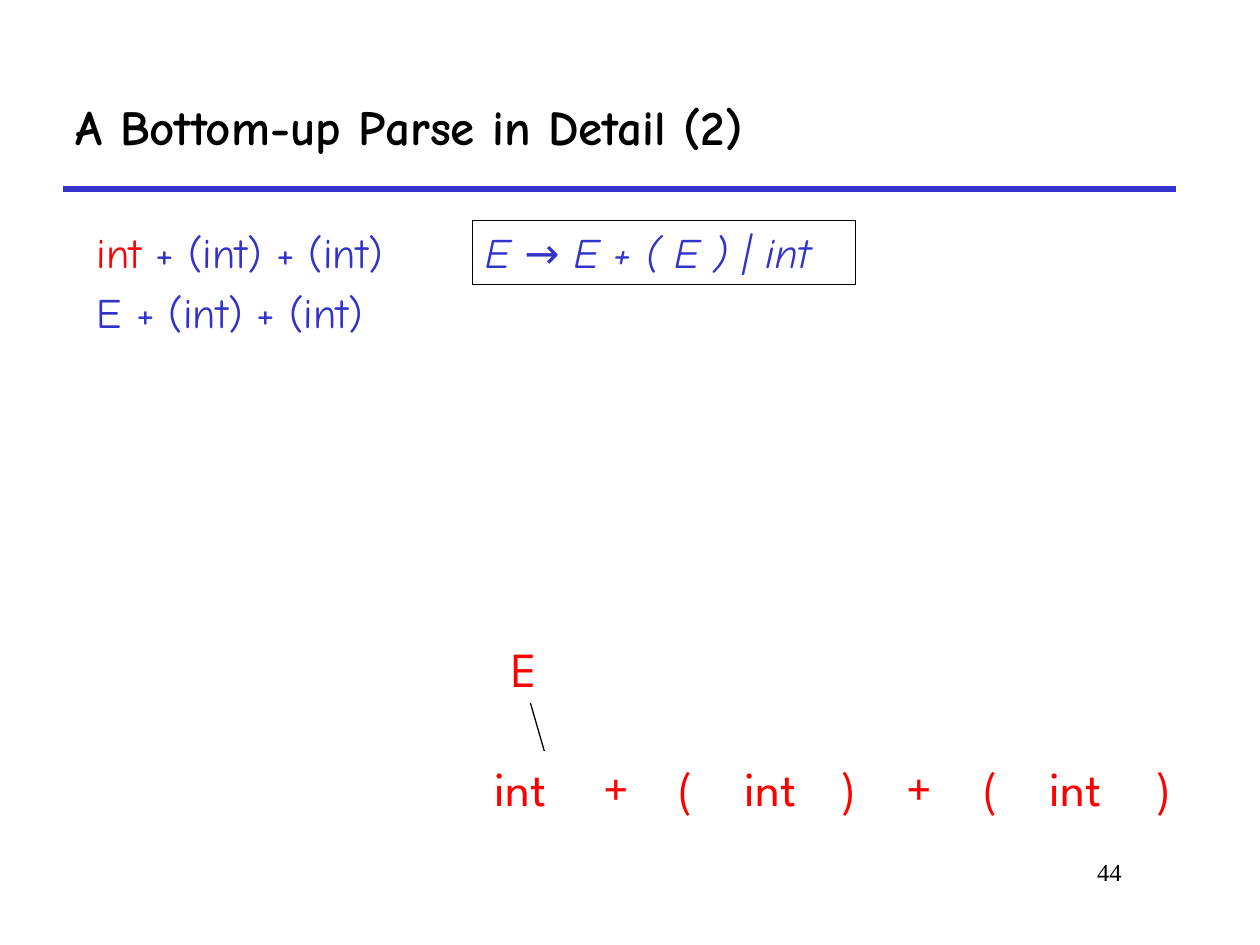
import pptx
import pptx.dml.color
import pptx.enum.shapes
import pptx.enum.text
import pptx.oxml.ns
import pptx.util
from pptx.util import Inches

BLACK, BLUE, RED = "000000", "3333CC", "FF0000"
ALIGN = pptx.enum.text.PP_ALIGN
ANCHOR = pptx.enum.text.MSO_ANCHOR
TITLE_FORMAT = {"name": "Comic Neue", "size": pptx.util.Pt(28), "bold": True}
STEP_FORMAT = {"name": "Comic Neue", "size": pptx.util.Pt(24)}
GRAMMAR_FORMAT = {**STEP_FORMAT, "italic": True}
TREE_FORMAT = {"name": "League Spartan", "size": pptx.util.Pt(28)}
NUMBER_FORMAT = {"name": "Times New Roman", "size": pptx.util.Pt(14)}


def color(hex_string):
    return pptx.dml.color.RGBColor.from_string(hex_string)


def write(shape, lines, text_format, align=ALIGN.LEFT, anchor=ANCHOR.TOP,
          wrap=True, gap=0):
    """Fill a shape with lines, each a list of (text, colour) runs."""
    frame = shape.text_frame
    frame.word_wrap = wrap
    frame.vertical_anchor = anchor
    for index, runs in enumerate(lines):
        paragraph = frame.add_paragraph() if index else frame.paragraphs[0]
        paragraph.alignment = align
        if index:
            paragraph.space_before = pptx.util.Pt(gap)
        for text, hex_string in runs:
            run = paragraph.add_run()
            run.text = text
            run.font.color.rgb = color(hex_string)
            for name, value in text_format.items():
                setattr(run.font, name, value)


def add_text(slide, box, lines, text_format, **options):
    shape = slide.shapes.add_textbox(*map(Inches, box))
    write(shape, lines, text_format, **options)


def add_line(slide, start, end, hex_string, width):
    line = slide.shapes.add_connector(
        pptx.enum.shapes.MSO_CONNECTOR.STRAIGHT,
        *map(Inches, (*start, *end)))
    line.line.color.rgb = color(hex_string)
    line.line.width = pptx.util.Pt(width)
    properties = line._element.spPr
    properties.append(pptx.oxml.xmlchemy.OxmlElement("a:effectLst"))


def add_heading(slide, box, text):
    left, top, width, height = box
    title = slide.shapes.title
    for name, value in zip(("left", "top", "width", "height"), box):
        setattr(title, name, Inches(value))
    write(title, [[(text, BLACK)]], TITLE_FORMAT, anchor=ANCHOR.MIDDLE)
    # Rule under the title
    bottom = top + height
    add_line(slide, (left, bottom), (left + width, bottom), BLUE, 3)


def add_grammar(slide, box, rule):
    shape = slide.shapes.add_shape(
        pptx.enum.shapes.MSO_SHAPE.RECTANGLE, *map(Inches, box))
    shape.shadow.inherit = False
    shape.fill.background()
    shape.line.color.rgb = color(BLACK)
    shape.line.width = pptx.util.Pt(0.75)
    write(shape, [[(rule, BLUE)]], GRAMMAR_FORMAT, wrap=False)


def add_parse_tree(slide, box):
    left, top, width, height = box
    row_height = 0.57
    leaf_top = top + height - row_height
    # Input tokens: text, offset from the left of the tree, width
    tokens = [("int", 0, 0.96), ("+", 0.86, 0.5), ("(", 1.46, 0.42),
              ("int", 1.98, 1.04), (")", 2.75, 0.25), ("+", 3.27, 0.5),
              ("(", 3.88, 0.42), ("int", 4.4, 1.14), (")", 5.25, 0.33)]
    for text, offset, token_width in tokens:
        add_text(slide, (left + offset, leaf_top, token_width, row_height),
                 [[(text, RED)]], TREE_FORMAT)
    # Reduced node and its branch
    add_text(slide, (left + 0.13, top, 0.5, row_height), [[("E", RED)]],
             TREE_FORMAT)
    add_line(slide, (left + 0.38, top + 0.56), (left + 0.49, leaf_top),
             BLACK, 0.75)


def main():
    presentation = pptx.Presentation()
    presentation.slide_width = Inches(10)
    presentation.slide_height = Inches(7.5)
    slide = presentation.slides.add_slide(presentation.slide_layouts[5])

    add_heading(slide, (0.5, 0.5, 8.83, 1), "A Bottom-up Parse in Detail (2)")
    # Parse steps
    add_text(slide, (0.67, 1.75, 2.68, 0.98),
             [[("int", RED), (" + (int) + (int)", BLUE)],
              [("E + (int) + (int)", BLUE)]],
             STEP_FORMAT, wrap=False, gap=5.5)
    add_grammar(slide, (3.75, 1.75, 3.04, 0.51), "E → E + ( E ) | int")
    add_parse_tree(slide, (3.83, 5.02, 5.58, 1.51))
    # Slide number
    add_text(slide, (6.92, 6.75, 2.08, 0.5), [[("44", BLACK)]],
             NUMBER_FORMAT, align=ALIGN.RIGHT)

    presentation.save("out.pptx")


if __name__ == "__main__":
    main()
